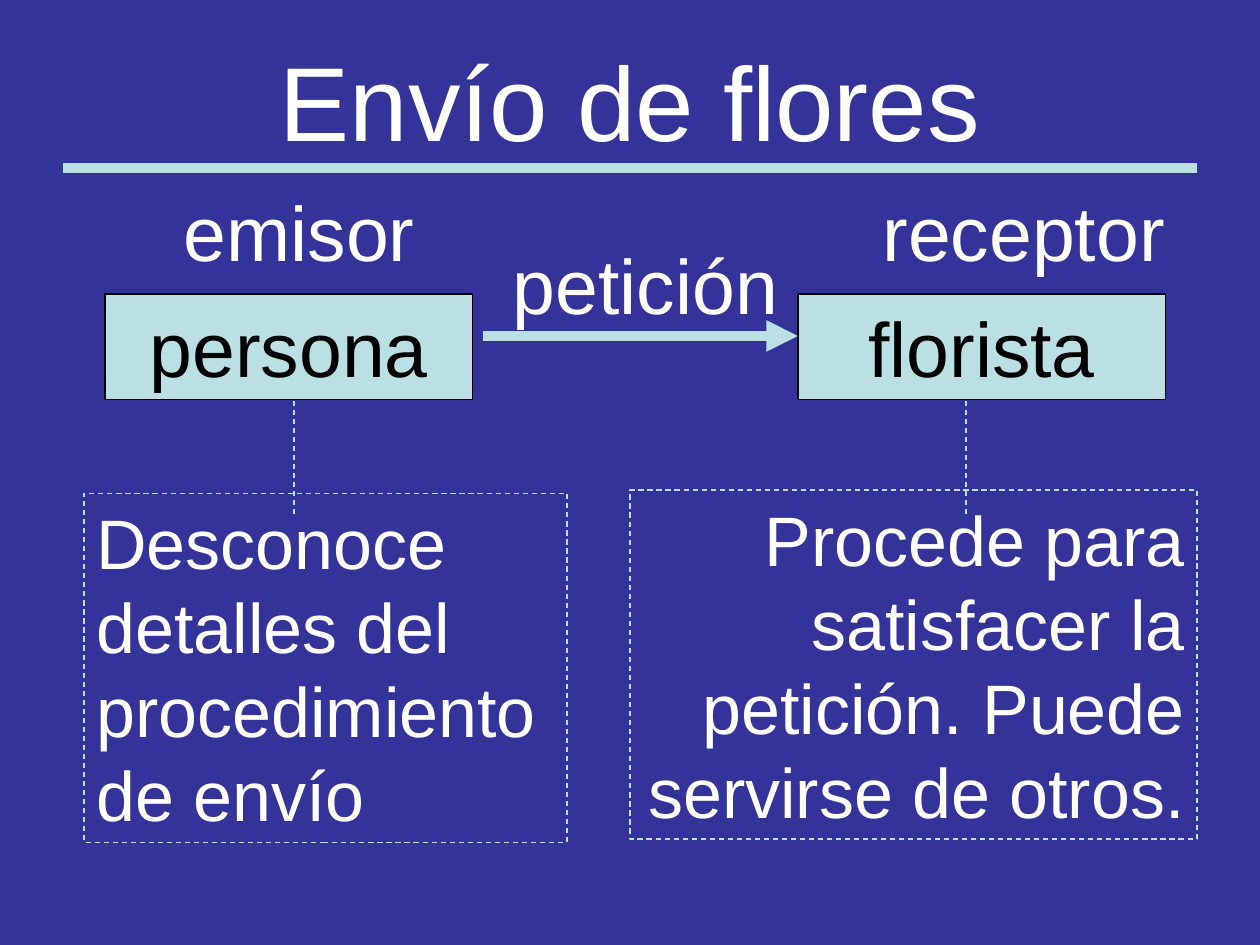
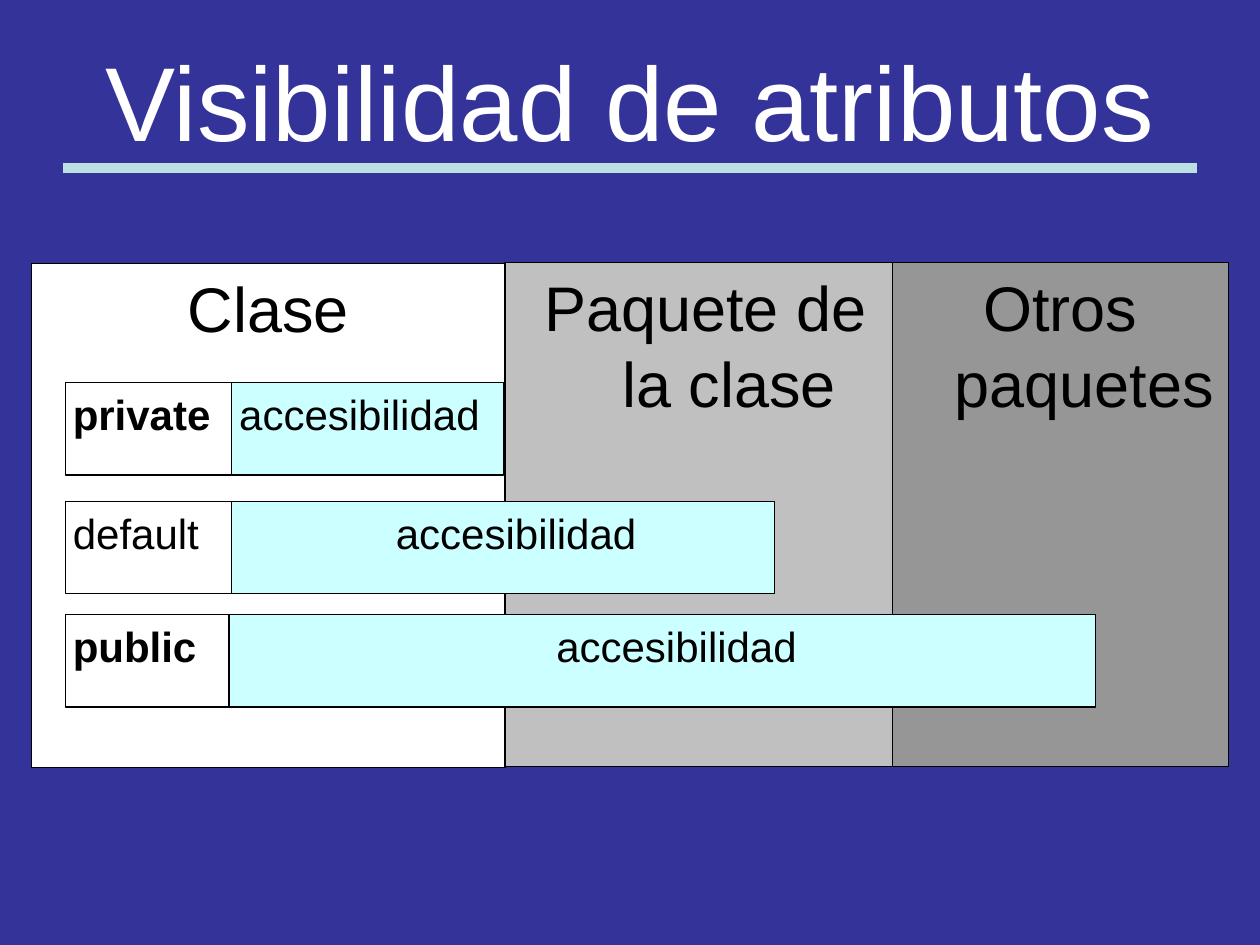
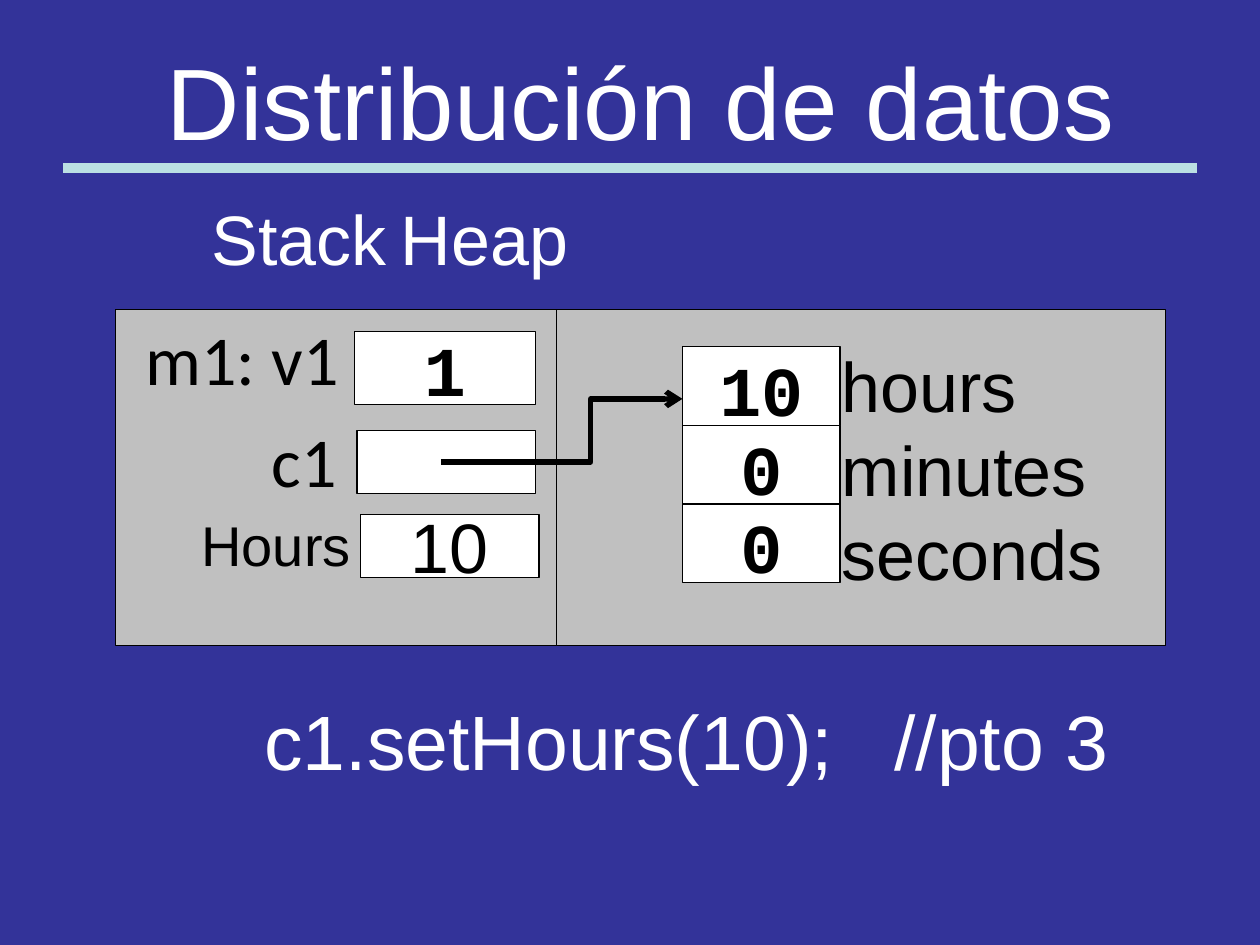
import pptx
import pptx.util
import pptx.dml.color
import pptx.enum.dml
import pptx.enum.shapes
import pptx.enum.text
import pptx.oxml
import pptx.oxml.ns
from pptx.util import Pt

NAVY, PALE, WHITE, BLACK = "333399", "BBE0E3", "FFFFFF", "000000"
SILVER, GRAY, CYAN = "C0C0C0", "969696", "CCFFFF"
ALIGN = pptx.enum.text.PP_ALIGN
ANCHOR = pptx.enum.text.MSO_ANCHOR
CONNECTOR = pptx.enum.shapes.MSO_CONNECTOR
DASH = pptx.enum.dml.MSO_LINE.DASH
THIN, THICK = 0.75, 6
HANGING = 27
INSETS = (7.2, 3.6, 7.2, 3.6)
LABEL_INSETS = (4.32, 3.6, 7.2, 3.6)
NO_INSETS = (0, 0, 0, 0)


def color(value):
    return pptx.dml.color.RGBColor.from_string(value)


def add_xml(parent, tag, **attributes):
    element = pptx.oxml.parse_xml(f"<a:{tag} {pptx.oxml.ns.nsdecls('a')}/>")
    for name, value in attributes.items():
        element.set(name, str(value))
    parent.append(element)
    return element


# Text
def write(shape, lines, size, ink=WHITE, font="Arial", bold=False, align=ALIGN.LEFT,
          anchor=ANCHOR.TOP, insets=INSETS, indent=0, first=0, tab=None, spacing=None):
    """Fill a shape with one paragraph for each line of text."""
    frame = shape.text_frame
    frame.word_wrap = True
    frame.vertical_anchor = anchor
    frame.margin_left, frame.margin_top, frame.margin_right, frame.margin_bottom = map(Pt, insets)
    for number, line in enumerate(lines.split("\n")):
        paragraph = frame.add_paragraph() if number else frame.paragraphs[0]
        paragraph.alignment = align
        if spacing:
            paragraph.line_spacing = spacing
        properties = paragraph._p.get_or_add_pPr()
        properties.set("marL", str(Pt(indent)))
        properties.set("indent", str(Pt(first)))
        if tab:
            add_xml(add_xml(properties, "tabLst"), "tab", pos=Pt(tab), algn="l")
        run = paragraph.add_run()
        run.text = line
        run.font.size = Pt(size)
        run.font.name = font
        run.font.bold = bold
        run.font.color.rgb = color(ink)


def add_text(slide, box, lines, size, **style):
    shape = slide.shapes.add_textbox(*map(Pt, box))
    write(shape, lines, size, **style)
    return shape


# Shapes and lines
def add_box(slide, box, fill=None, outline=BLACK, dash=None):
    shape = slide.shapes.add_shape(pptx.enum.shapes.MSO_SHAPE.RECTANGLE, *map(Pt, box))
    shape.shadow.inherit = False
    if fill:
        shape.fill.solid()
        shape.fill.fore_color.rgb = color(fill)
    else:
        shape.fill.background()
    shape.line.color.rgb = color(outline)
    shape.line.width = Pt(THIN)
    if dash:
        shape.line.dash_style = dash
    return shape


def add_line(slide, start, end, ink=PALE, width=THICK, dash=None, arrow=None, bend=None):
    kind = CONNECTOR.STRAIGHT if bend is None else CONNECTOR.ELBOW
    connector = slide.shapes.add_connector(kind, *map(Pt, start + end))
    connector.line.color.rgb = color(ink)
    connector.line.width = Pt(width)
    if dash:
        connector.line.dash_style = dash
    if arrow:
        add_xml(connector.line._get_or_add_ln(), "tailEnd", type=arrow)
    if bend is not None:
        guides = connector.element.xpath(".//a:avLst")[0]
        add_xml(guides, "gd", name="adj1", fmla=f"val {round(bend * 100000)}")
    add_xml(connector.element.spPr, "effectLst")
    return connector


# Shared slide parts
def add_slide(presentation, title, box=(36, 12, 648, 90), size=60, spacing=None):
    slide = presentation.slides.add_slide(presentation.slide_layouts[5])
    shape = slide.shapes.title
    shape.left, shape.top, shape.width, shape.height = map(Pt, box)
    write(shape, title, size, align=ALIGN.CENTER, anchor=ANCHOR.MIDDLE, spacing=spacing)
    return slide


def style_master(presentation, slide):
    """Give the master its background and the rule below the titles."""
    master = presentation.slide_master
    master.background.fill.solid()
    master.background.fill.fore_color.rgb = color(NAVY)
    rule = add_line(slide, (36, 96), (684, 96))
    rule.element.nvCxnSpPr.cNvPr.id = 20
    master.shapes.element.append(rule.element)


# Slide 1: sender and receiver
def draw_actor(slide, box, name, role, role_shift):
    left, top, width, height = box
    add_text(slide, (left + role_shift, top - 66, 198, height), role, 44, align=ALIGN.CENTER)
    write(add_box(slide, box, PALE), name, 44, BLACK, align=ALIGN.CENTER)


def draw_request(slide, box, text):
    left, top, width, height = box
    add_text(slide, (left + 6, top, width - 6, height), text, 44, align=ALIGN.CENTER)
    add_line(slide, (left, top + height), (left + width, top + height), arrow="triangle")


def draw_note(slide, box, text, align, stem):
    write(add_box(slide, box, outline=PALE, dash=DASH), text, 40, align=align)
    add_line(slide, (stem, 294), (stem, 216), width=THIN, dash=DASH, arrow="triangle")


# Slide 2: scopes and reach of each modifier
def draw_scope(slide, box, name, fill):
    write(add_box(slide, box, fill), name, 36, BLACK, align=ALIGN.CENTER,
          indent=HANGING, first=-HANGING)


def draw_access(slide, left, top, modifier, bold, label_width, bar_left, bar_width, indent):
    height = 52.8
    label = add_box(slide, (left, top, label_width, height), WHITE)
    write(label, modifier, 24, BLACK, bold=bold, insets=LABEL_INSETS)
    bar = add_box(slide, (bar_left, top, bar_width, height), CYAN)
    write(bar, "accesibilidad", 24, BLACK, indent=indent,
          insets=INSETS if indent else LABEL_INSETS)


# Slide 3: memory diagram
def draw_stack(slide, box):
    left, top, width, height = box
    panel = add_box(slide, box, SILVER)
    write(panel, "m1:\tv1\nc1", 40, BLACK, "Calibri", insets=(17.3, 3.6, 7.2, 3.6), tab=80.5)
    reference = panel.text_frame.paragraphs[1]
    reference.space_before = Pt(10)
    reference._p.get_or_add_pPr().set("marL", str(Pt(72)))
    centered = dict(align=ALIGN.CENTER, anchor=ANCHOR.MIDDLE, insets=NO_INSETS)
    value = add_box(slide, (left + 136.5, top + 12.3, 103.5, 42), WHITE)
    write(value, "1", 40, BLACK, "Courier New", True, **centered)
    add_box(slide, (left + 138, top + 69, 102, 36), WHITE)
    argument = add_box(slide, (left + 140, top + 117, 102, 36), WHITE)
    write(argument, "10", 40, BLACK, **centered)
    add_text(slide, (left + 42, top + 111, 108, 46), "Hours", 32, ink=BLACK)


def draw_heap(slide, box, values, fields):
    left, top, width, height = box
    add_box(slide, box, SILVER)
    for row, value in enumerate(values):
        cell = add_box(slide, (left + 72, top + 21 + 45 * row, 90, 45), WHITE)
        write(cell, value, 40, BLACK, "Courier New", True, ALIGN.CENTER, insets=NO_INSETS)
    add_text(slide, (left + 156, top + 15, 174, 151), "\n".join(fields), 40, ink=BLACK)


def build_flowers(presentation):
    slide = add_slide(presentation, "Envío de flores")
    style_master(presentation, slide)
    draw_actor(slide, (60, 168, 210, 60.5), "persona", "emisor", 12)
    draw_actor(slide, (456, 168, 210, 60.5), "florista", "receptor", 30)
    draw_request(slide, (276, 132, 180, 60), "petición")
    draw_note(slide, (360, 280, 324, 199.5),
              "Procede para satisfacer la petición. Puede servirse de otros.", ALIGN.RIGHT, 552)
    draw_note(slide, (48, 282, 276, 199.5),
              "Desconoce detalles del procedimiento de envío", ALIGN.LEFT, 168)


def build_visibility(presentation):
    slide = add_slide(presentation, "Visibilidad de atributos")
    draw_scope(slide, (18, 150.5, 270.7, 288), "Clase", WHITE)
    draw_scope(slide, (288.5, 150, 229, 288), "Paquete de la clase", SILVER)
    draw_scope(slide, (510, 150, 192, 288), "Otros paquetes", GRAY)
    rows = [
        (218.7, "private", True, 103, 132.4, 155.5, 0),
        (286.4, "default", False, 95, 132.4, 310.3, 86.7),
        (351.3, "public", True, 95, 130.8, 495.4, 180),
    ]
    for row in rows:
        draw_access(slide, 37.3, *row)


def build_memory(presentation):
    slide = add_slide(presentation, "Distribución de datos", (42, 31.7, 648, 63.4), 58, 0.8)
    add_text(slide, (114, 108, 474, 55.5), "Stack\tHeap", 40, tab=289)
    add_text(slide, (144, 393, 522, 60.5), "c1.setHours(10); \t//pto 3", 44, tab=360)
    draw_stack(slide, (66, 177, 252, 192))
    draw_heap(slide, (318, 177, 348, 192), ("10", "0", "0"), ("hours", "minutes", "seconds"))
    add_line(slide, (252, 264), (390, 228), BLACK, 3, arrow="arrow", bend=0.62)


presentation = pptx.Presentation()
presentation.slide_width, presentation.slide_height = Pt(720), Pt(540)
build_flowers(presentation)
build_visibility(presentation)
build_memory(presentation)
presentation.save("out.pptx")
